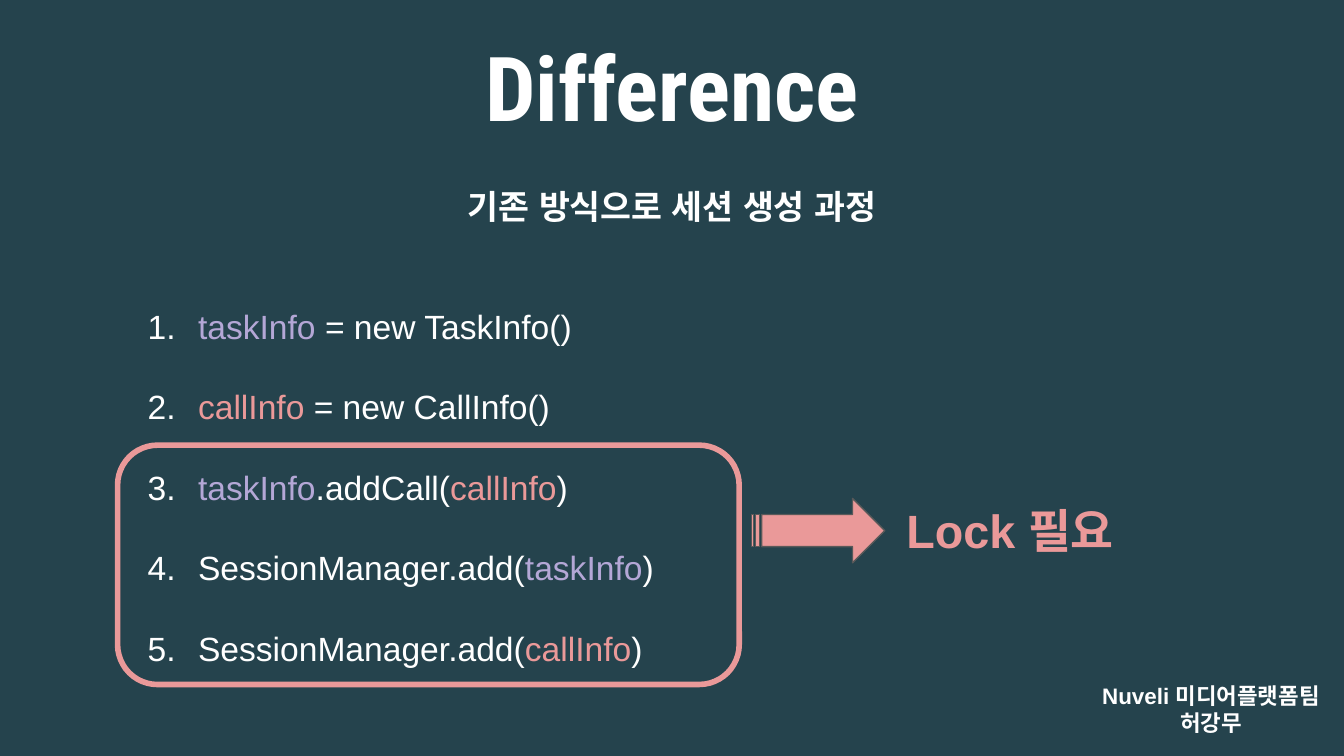
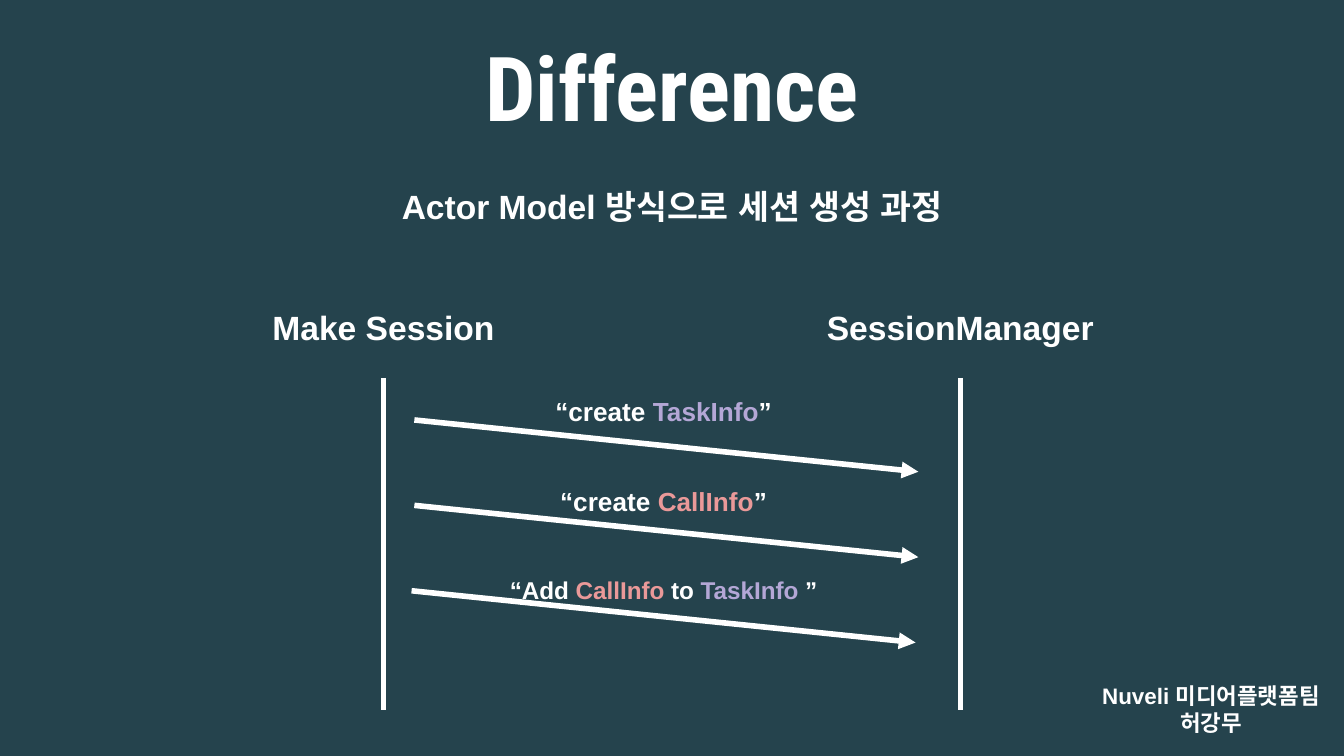
from pptx import Presentation
from pptx.dml.color import RGBColor
from pptx.enum.shapes import MSO_CONNECTOR, MSO_SHAPE
from pptx.enum.text import MSO_AUTO_SIZE, PP_ALIGN
from pptx.oxml.ns import qn
from pptx.util import Pt
from lxml import etree

PX = 9525
STRAIGHT = MSO_CONNECTOR.STRAIGHT
ROUNDED = MSO_SHAPE.ROUNDED_RECTANGLE
STRIPED_ARROW = MSO_SHAPE.STRIPED_RIGHT_ARROW
GROW = MSO_AUTO_SIZE.SHAPE_TO_FIT_TEXT
CENTER = PP_ALIGN.CENTER
LEFT = PP_ALIGN.LEFT

NAVY = "25434D"
WHITE = "FFFFFF"
PURPLE = "B4A7D6"
PINK = "EA9999"
GREY = "595959"
hex_color = RGBColor.from_string


def add_text_frame(slide, left, top, width, height):
    box = slide.shapes.add_textbox(left * PX, top * PX, width * PX, height * PX)
    frame = box.text_frame
    frame.word_wrap = True
    frame.auto_size = GROW
    frame.margin_left = frame.margin_right = Pt(7.2)
    frame.margin_top = frame.margin_bottom = Pt(7.2)
    return frame


def write(paragraph, *parts, size=18, color=WHITE, font="Arial", bold=True, align=CENTER):
    paragraph.alignment = align
    for part in parts:
        text, part_color = (part, color) if isinstance(part, str) else part
        run = paragraph.add_run()
        run.text = text
        run.font.size = Pt(size)
        run.font.bold = bold
        run.font.name = font
        run.font.color.rgb = hex_color(part_color)
        etree.SubElement(run.font._element, qn("a:ea"), typeface=font)


presentation = Presentation()
presentation.slide_width = 960 * PX
presentation.slide_height = 540 * PX
blank = presentation.slide_layouts[6]

slides = []
for subtitle, subtitle_height in [
    ("기존 방식으로 세션 생성 과정", 397),
    ("Actor Model 방식으로 세션 생성 과정", 48),
]:
    slide = presentation.slides.add_slide(blank)
    slide.background.fill.solid()
    slide.background.fill.fore_color.rgb = hex_color(NAVY)
    title = add_text_frame(slide, 258, 13, 444, 97)
    write(title.paragraphs[0], "Difference", size=48, font="Roboto Condensed")
    footer = add_text_frame(slide, 770, 478, 190, 59)
    write(footer.paragraphs[0], "Nuveli 미디어플랫폼팀", size=12)
    write(footer.add_paragraph(), "허강무", size=12)
    body = add_text_frame(slide, 84, 123, 792, subtitle_height)
    write(body.paragraphs[0], subtitle)
    slides.append((slide, body))

slide, body = slides[0]
body.paragraphs[0].space_after = Pt(21)
steps = [
    [("taskInfo", PURPLE), " = new TaskInfo()"],
    [("callInfo", PINK), " = new CallInfo()"],
    [("taskInfo", PURPLE), ".addCall(", ("callInfo", PINK), ")"],
    ["SessionManager.add(", ("taskInfo", PURPLE), ")"],
    ["SessionManager.add(", ("callInfo", PINK), ")"],
]
for step in steps:
    paragraph = body.add_paragraph()
    write(paragraph, *step, bold=False, align=LEFT)
    paragraph.line_spacing = 2.0
    properties = paragraph._p.get_or_add_pPr()
    properties.set("marL", str(48 * PX))
    properties.set("indent", str(-36 * PX))
    bullet_color = etree.SubElement(properties, qn("a:buClr"))
    etree.SubElement(bullet_color, qn("a:srgbClr"), val=WHITE)
    etree.SubElement(properties, qn("a:buFont"), typeface="Arial")
    etree.SubElement(properties, qn("a:buAutoNum"), type="arabicPeriod")

lock_frame = slide.shapes.add_shape(ROUNDED, 84 * PX, 318 * PX, 444 * PX, 171 * PX)
lock_frame.shadow.inherit = False
lock_frame.fill.background()
lock_frame.line.color.rgb = hex_color(PINK)
lock_frame.line.width = Pt(3)

lock_arrow = slide.shapes.add_shape(STRIPED_ARROW, 537 * PX, 356 * PX, 95 * PX, 46 * PX)
lock_arrow.shadow.inherit = False
lock_arrow.fill.solid()
lock_arrow.fill.fore_color.rgb = hex_color(PINK)
lock_arrow.line.color.rgb = hex_color(GREY)
lock_arrow.line.width = Pt(0.75)

lock_label = add_text_frame(slide, 632, 349, 179, 60)
write(lock_label.paragraphs[0], "Lock 필요", size=25, color=PINK)

slide, body = slides[1]
lines = []
for name, center in [("Make Session", 274), ("SessionManager", 686)]:
    heading = add_text_frame(slide, center - 127, 210, 254, 48)
    write(heading.paragraphs[0], name)
    lines.append((center, 270, center, 507, False))

messages = [
    (296, 14, ["“create ", ("TaskInfo", PURPLE), "”"]),
    (296, 14, ["“create ", ("CallInfo", PINK), "”"]),
    (294, 13, ["“Add ", ("CallInfo", PINK), " to ", ("TaskInfo", PURPLE), " ”"]),
]
for index, (start, size, parts) in enumerate(messages):
    label = add_text_frame(slide, 347, 273 + 64 * index, 254, 42)
    write(label.paragraphs[0], *parts, size=size)
    top = 300 + 61 * index
    lines.append((start, top, start + 360, top + 37, True))

for left, top, right, bottom, has_arrowhead in lines:
    line = slide.shapes.add_connector(STRAIGHT, left * PX, top * PX, right * PX, bottom * PX)
    line.line.color.rgb = hex_color(WHITE)
    line.line.width = Pt(3)
    if has_arrowhead:
        outline = line.line._get_or_add_ln()
        etree.SubElement(outline, qn("a:tailEnd"), type="triangle", w="med", len="med")
    etree.SubElement(line._element.spPr, qn("a:effectLst"))

presentation.save("out.pptx")
